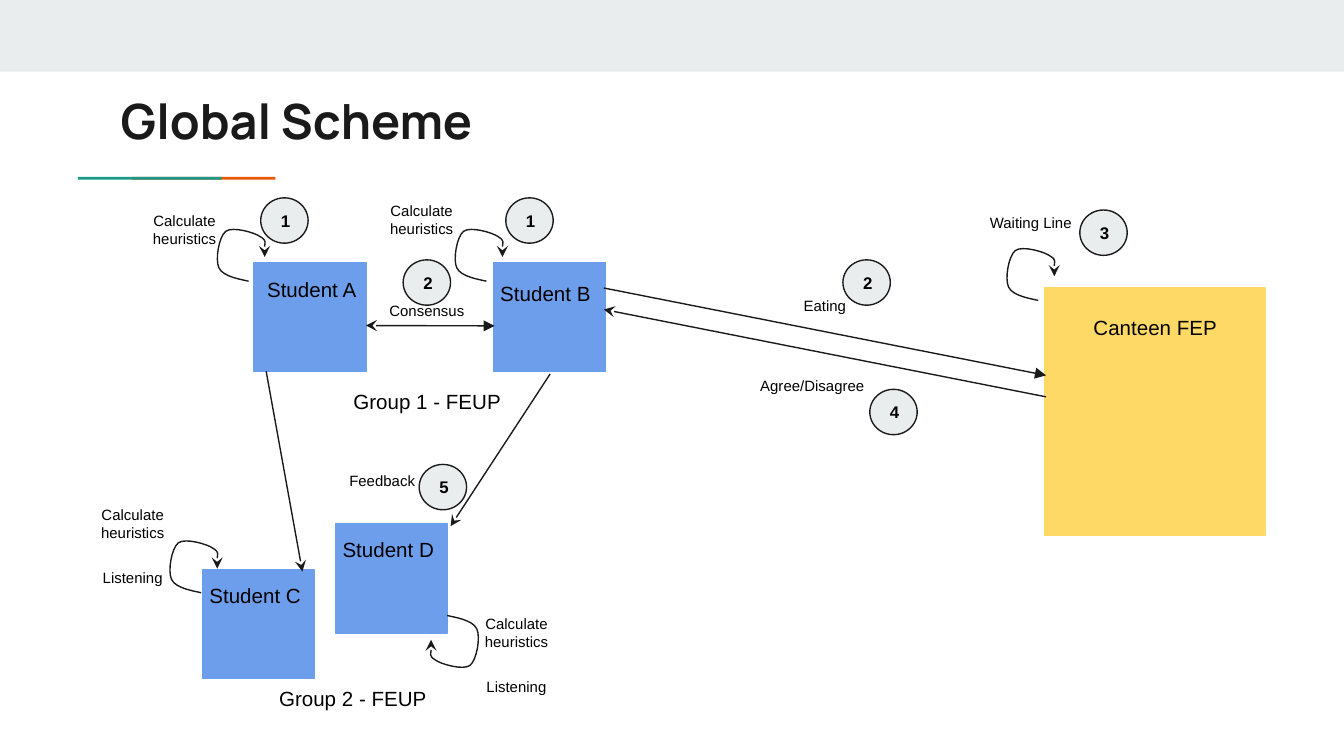
from pptx import Presentation
from pptx.dml.color import RGBColor
from pptx.enum.shapes import MSO_CONNECTOR, MSO_SHAPE
from pptx.enum.text import MSO_ANCHOR, PP_ALIGN
from pptx.oxml.ns import qn
from pptx.util import Pt
from lxml.etree import SubElement

INK, BLACK, PALE = "1A1A1A", "000000", "E9EDEE"
BLUE, YELLOW, TEAL, ORANGE = "6D9EEB", "FFD966", "1A9988", "EB5600"
LOOP_WIDTH, LOOP_HEIGHT = 25.2, 28
LOOP_START = (16.6, 27.4)
LOOP_CURVES = [
    [(13.7, 26.6), (2.9, 25.2), (0.7, 20.2)],
    [(-1.4, 15.8), (0.7, 3.6), (4.3, 0.7)],
    [(7.9, -2.2), (20.2, 1.4), (23, 3.6)],
    [(26.6, 5.8), (24.5, 12.2), (25.2, 14.4)],
]


def color(value):
    """Turn a hex string into a colour."""
    return RGBColor.from_string(value)


def add_figure(slide, preset, box, fill, outline=None):
    """Add a filled preset shape, with a thin outline if one is given."""
    figure = slide.shapes.add_shape(preset, *map(Pt, box))
    figure.shadow.inherit = False
    figure.fill.solid()
    figure.fill.fore_color.rgb = color(fill)
    if outline:
        figure.line.color.rgb = color(outline)
        figure.line.width = Pt(0.75)
    else:
        figure.line.fill.background()
    return figure


def write(figure, text, size, align=PP_ALIGN.LEFT, bold=False, font="Arial", ink=BLACK):
    """Write one paragraph into a shape or text box."""
    frame = figure.text_frame
    frame.word_wrap = True
    frame.margin_left = frame.margin_right = Pt(7.2)
    frame.margin_top = frame.margin_bottom = Pt(7.2)
    paragraph = frame.paragraphs[0]
    paragraph.text = text
    paragraph.alignment = align
    paragraph.font.name = font
    paragraph.font.size = Pt(size)
    paragraph.font.bold = bold
    paragraph.font.color.rgb = color(ink)


def add_text(slide, box, text, size, **style):
    """Add a text box holding one paragraph."""
    write(slide.shapes.add_textbox(*map(Pt, box)), text, size, **style)


def add_note(slide, left, top, text, width=59, height=24):
    """Add a small centred note beside an arrow."""
    add_text(slide, (left, top, width, height), text, 8, align=PP_ALIGN.CENTER)


def add_step(slide, left, top, number):
    """Add a numbered step circle."""
    circle = add_figure(slide, MSO_SHAPE.OVAL, (left, top, 25.4, 24.3), PALE, INK)
    circle.text_frame.vertical_anchor = MSO_ANCHOR.MIDDLE
    write(circle, str(number), 9, align=PP_ALIGN.CENTER, bold=True)


def style_line(stroke, head, tail):
    """Give a line its ink, weight and arrowheads."""
    stroke.line.color.rgb = color(INK)
    stroke.line.width = Pt(0.75)
    properties = stroke.line._get_or_add_ln()
    for tag, kind in (("a:headEnd", head), ("a:tailEnd", tail)):
        if kind:
            SubElement(properties, qn(tag), type=kind, w="med", len="med")


def add_arrow(slide, start, end, tail="stealth", head=None):
    """Add a straight arrow from start to end."""
    arrow = slide.shapes.add_connector(MSO_CONNECTOR.STRAIGHT, *map(Pt, (*start, *end)))
    style_line(arrow, head, tail)
    SubElement(arrow._element.spPr, qn("a:effectLst"))


def add_loop(slide, left, top, turned=False):
    """Add a curved arrow that returns to its box, optionally turned half round."""
    builder = slide.shapes.build_freeform(Pt(left), Pt(top))
    builder.add_line_segments([(Pt(left + LOOP_WIDTH), Pt(top + LOOP_HEIGHT))], close=False)
    loop = builder.convert_to_shape()
    outline = next(loop._element.iter(qn("a:path")))
    for segment in list(outline):
        outline.remove(segment)
    for tag, points in [("a:moveTo", [LOOP_START]), *(("a:cubicBezTo", curve) for curve in LOOP_CURVES)]:
        segment = SubElement(outline, qn(tag))
        for x, y in points:
            SubElement(segment, qn("a:pt"), x=str(Pt(x)), y=str(Pt(y)))
    loop.rotation = 180 if turned else 0
    loop.shadow.inherit = False
    loop.fill.background()
    style_line(loop, None, "stealth")


def add_header(slide, left, top, width):
    """Add the top band, the title and its two-colour rule."""
    add_figure(slide, MSO_SHAPE.RECTANGLE, (left, top, width, 38.4), PALE)
    add_text(slide, (left + 57.6, top + 41.6, 605.5, 42.5), "Global Scheme", 26,
             bold=True, font="Manrope", ink=INK)
    for rule_left, shade in ((70.6, ORANGE), (41.8, TEAL)):
        add_figure(slide, MSO_SHAPE.RECTANGLE, (left + rule_left, top + 94.8, 77, 1.5), shade)


def add_student(slide, left, top, name, label_x=-3.4, label_y=0.4):
    """Add a student box with its label."""
    add_figure(slide, MSO_SHAPE.RECTANGLE, (left, top, 60, 58.3), BLUE, BLUE)
    add_text(slide, (left + label_x, top + label_y, 66.2, 29.5), f"Student {name}", 11)


def add_first_group(slide, left, top):
    """Add students A and B with their heuristics and consensus."""
    add_student(slide, left, top, "A", label_x=0, label_y=1)
    add_student(slide, left + 128.3, top, "B", label_y=3.5)
    add_text(slide, (left + 46.2, top + 61, 97.2, 29.5), "Group 1 - FEUP", 11)
    add_arrow(slide, (left + 60, top + 33.8), (left + 129, top + 34), "triangle", "stealth")
    add_step(slide, left + 80, top - 1.4, 2)
    add_note(slide, left + 63.2, top + 16.2, "Consensus")
    for offset, note_left, note_top in ((0, -66.6, -34.6), (127.4, -67, -39.6)):
        add_loop(slide, left + offset - 19.4, top - 17.3)
        add_note(slide, left + offset + note_left, top + note_top, "Calculate heuristics", height=36.7)
    for step_left in (3.7, 135):
        add_step(slide, left + step_left, top - 34.6, 1)


def add_second_group(slide, left, top):
    """Add students C and D with their heuristics and listening."""
    add_student(slide, left, top + 24.5, "C")
    add_student(slide, left + 71.3, top, "D")
    add_text(slide, (left + 33.9, top + 80, 97.2, 29.5), "Group 2 - FEUP", 11)
    add_loop(slide, left - 17.3, top + 9.4)
    add_loop(slide, left + 122.4, top + 48.3, turned=True)
    for note_left, note_top in ((-66.9, -17.3), (138.7, 41.1)):
        add_note(slide, left + note_left, top + note_top, "Calculate heuristics", height=36.7)
        add_note(slide, left + note_left, top + note_top + 36.2, "Listening")


def add_canteen(slide, left, top):
    """Add the canteen box with its waiting line."""
    add_figure(slide, MSO_SHAPE.RECTANGLE, (left, top, 118.1, 132.5), YELLOW, YELLOW)
    add_text(slide, (left + 10.6, top + 7.6, 97.2, 29.5), "Canteen FEP", 11, align=PP_ALIGN.CENTER)
    add_loop(slide, left - 20.1, top - 20.7)
    add_note(slide, left - 39, top - 44.6, "Waiting Line", 63)
    add_step(slide, left + 18.8, top - 41.8, 3)


def add_exchanges(slide, left, top):
    """Add the arrows between the groups and the canteen."""
    add_arrow(slide, (left + 187.5, top + 13.7), (left + 424.4, top + 60.5), "triangle")
    add_arrow(slide, (left + 424.4, top + 72), (left + 187.5, top + 25.2))
    add_arrow(slide, (left + 158.7, top + 59.8), (left + 105.4, top + 141.3))
    add_arrow(slide, (left + 6.6, top + 58.3), (left + 26, top + 165.6))
    add_note(slide, left + 276.4, top + 13.7, "Eating")
    add_note(slide, left + 263.2, top + 56.1, "Agree/Disagree", 72)
    add_note(slide, left + 32.8, top + 107, "Feedback", 72)
    for step_left, step_top, number in ((315.6, -1.4, 2), (330, 68, 4), (88.6, 108.2, 5)):
        add_step(slide, left + step_left, top + step_top, number)


def main():
    """Build and save the slide."""
    deck = Presentation()
    deck.slide_width, deck.slide_height = Pt(720), Pt(405)
    slide = deck.slides.add_slide(deck.slide_layouts[6])
    add_header(slide, 0, 0, 720)
    add_first_group(slide, 136, 140.6)
    add_second_group(slide, 108.5, 280.8)
    add_canteen(slide, 559.7, 154.3)
    add_exchanges(slide, 136, 140.6)
    deck.save("out.pptx")


if __name__ == "__main__":
    main()
